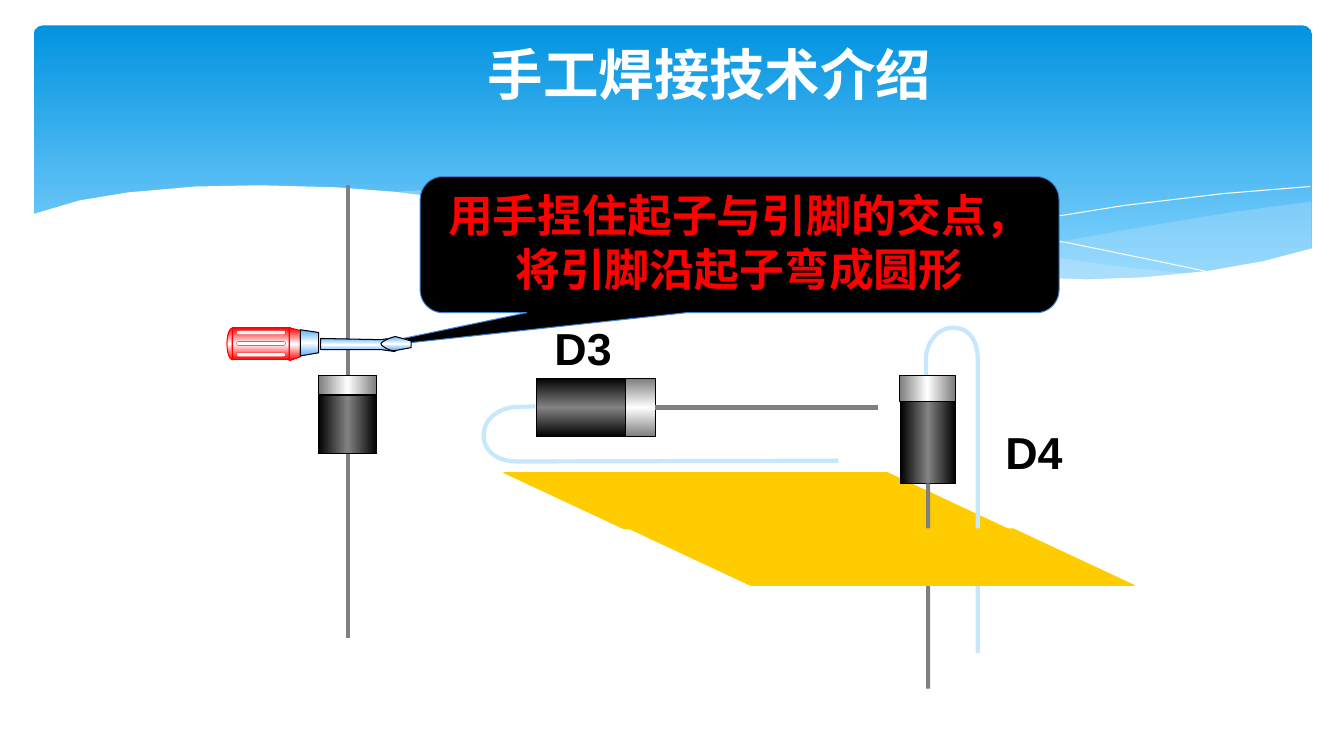
from lxml import etree
from pptx import Presentation
from pptx.dml.color import RGBColor
from pptx.enum import shapes as es, text as et
from pptx.oxml.ns import qn
from pptx.util import Cm, Pt

SHAPE = es.MSO_SHAPE
BLACK, WHITE, RED = "000000", "FFFFFF", "FF0000"
GREY, PALE, YELLOW = "808080", "C6E7FC", "FFCC00"
BODY = [(0, BLACK), (50, "838383"), (100, BLACK)]
CAP = [(0, "7C7C7C"), (50, WHITE), (100, "7C7C7C")]
PLASTIC = [(0, RED), (50, WHITE), (100, RED)]
STEEL = [(0, "5EAEFF"), (50, WHITE), (100, "5EAEFF")]
SKY = [(0, "0293E0"), (90, "83D3FE")]

BACK_WAVE = [
    (33.05, 5.08), (31.17, 5.33), (29.13, 5.66), (26.37, 6.15), (23.9, 6.53),
    (22.4, 6.73), (23.88, 6.88), (25.63, 7.01), (27.2, 7.06), (28.91, 7.01),
    (30.66, 6.83), (31.93, 6.58), (33.05, 6.27)]
MIDDLE_WAVE = [
    (30.23, 6.93), (28.35, 6.73), (26.26, 6.45), (23.9, 6.1), (21.31, 5.64),
    (19.28, 5.28), (17.42, 5.03), (15.72, 4.85), (14.22, 4.75), (12.24, 4.7),
    (9.7, 4.85), (12.27, 5.16), (15.21, 5.64), (17.93, 6.1), (20.37, 6.48),
    (23.04, 6.81), (25.35, 7.01), (27.33, 7.06), (28.73, 7.04)]
FALLING_LINE = [
    (10.46, 4.95), (12.29, 4.8), (14.66, 4.75), (17.27, 4.88), (19.69, 5.08),
    (22.5, 5.41), (24.64, 5.74), (26.92, 6.12), (29.41, 6.63), (30.73, 6.91)]
RISING_LINE = [
    (20.78, 6.53), (22.76, 6.12), (25.32, 5.66), (28.32, 5.18), (30.81, 4.88),
    (33.02, 4.7)]
FRONT_WAVE = [
    (33.1, 6.25), (31.85, 6.58), (30.43, 6.83), (28.8, 6.99), (27.38, 7.04),
    (25.2, 6.96), (22.63, 6.73), (20.42, 6.45), (17.93, 6.07), (15.14, 5.59),
    (12.34, 5.13), (9.91, 4.83), (8.46, 4.72), (6.55, 4.67), (4.93, 4.7),
    (3.23, 4.85), (2.01, 5.05), (0.79, 5.41), (0.79, 8.36), (33.1, 8.36)]
D3_WIRE = [
    (13.49, 10.24), (12.95, 10.26), (12.62, 10.29, 12.19, 10.52, 12.19, 10.97),
    (12.19, 11.4, 12.57, 11.63, 13.03, 11.63), (21.13, 11.61)]
D4_WIRE = [
    (23.34, 9.45), (23.34, 8.97), (23.37, 8.66, 23.6, 8.26, 24.03, 8.26),
    (24.43, 8.26, 24.64, 8.61, 24.64, 9.02), (24.64, 16.46)]
COLLAR = [(7.29, 8.26), (7.57, 8.33), (7.57, 8.99), (7.29, 9.09)]
FERRULE = [(7.57, 8.31), (8.03, 8.38), (8.03, 8.89), (7.57, 8.97)]
SHAFT = [
    (8.08, 8.53), (9.6, 8.56), (9.96, 8.51), (9.8, 8.53, 9.7, 8.61, 9.7, 8.66),
    (9.7, 8.74, 9.98, 8.84, 9.96, 8.86), (9.6, 8.81), (8.08, 8.81)]
TIP = [
    (10.36, 8.59), (9.96, 8.48), (9.78, 8.53, 9.63, 8.61, 9.6, 8.66),
    (9.6, 8.71, 9.8, 8.84, 9.93, 8.84), (10.36, 8.76)]


def rgb(value):
    return RGBColor.from_string(value)


def gradient(sp, stops, angle):
    sp.fill.gradient()
    sp.fill.gradient_angle = (360 - angle) % 360
    gs_list = sp._element.spPr.find(qn("a:gradFill")).find(qn("a:gsLst"))
    for old in list(gs_list):
        gs_list.remove(old)
    for pos, color in stops:
        gs = etree.SubElement(gs_list, qn("a:gs"), pos=str(pos * 1000))
        etree.SubElement(gs, qn("a:srgbClr"), val=color)


def paint(sp, fill=None, line=None, width=0.75, angle=90, alpha=None):
    sp.shadow.inherit = False
    if fill is None:
        sp.fill.background()
    elif isinstance(fill, list):
        gradient(sp, fill, angle)
    else:
        sp.fill.solid()
        sp.fill.fore_color.rgb = rgb(fill)
    if alpha is not None:
        clr = sp._element.spPr.find(qn("a:solidFill")).find(qn("a:srgbClr"))
        etree.SubElement(clr, qn("a:alpha"), val=str(alpha * 1000))
    if line is None:
        sp.line.fill.background()
    else:
        sp.line.color.rgb = rgb(line)
        sp.line.width = Pt(width)
    return sp


def preset(s, kind, box, adj=(), flip=False, **look):
    sp = s.shapes.add_shape(kind, *map(Cm, box))
    for i, value in enumerate(adj):
        sp.adjustments[i] = value
    if flip:
        sp._element.spPr.find(qn("a:xfrm")).set("flipH", "1")
    return paint(sp, **look)


def flatten(steps, pieces=16):
    points = [steps[0]]
    for step in steps[1:]:
        if len(step) == 2:
            points.append(step)
            continue
        start, c1, c2, end = points[-1], step[:2], step[2:4], step[4:]
        for i in range(1, pieces + 1):
            t = i / pieces
            n = 1 - t
            points.append(tuple(
                n**3 * a + 3 * n * n * t * b + 3 * n * t * t * c + t**3 * d
                for a, b, c, d in zip(start, c1, c2, end)))
    return points


def outline(s, steps, close=True, **look):
    points = [(Cm(x), Cm(y)) for x, y in flatten(steps)]
    builder = s.shapes.build_freeform(*points[0])
    builder.add_line_segments(points[1:], close=close)
    return paint(builder.convert_to_shape(), **look)


def lead(s, part, site, start, end):
    c = s.shapes.add_connector(es.MSO_CONNECTOR.STRAIGHT, *map(Cm, start + end))
    c.begin_connect(part, site)
    c.line.color.rgb = rgb(GREY)
    c.line.width = Pt(3)
    etree.SubElement(c._element.spPr, qn("a:effectLst"))


def write(sp, words, size, color, font="Arial", anchor=et.MSO_ANCHOR.TOP):
    tf = sp.text_frame
    tf.word_wrap = True
    tf.vertical_anchor = anchor
    p = tf.paragraphs[0]
    p.text = words
    p.alignment = et.PP_ALIGN.CENTER
    r = p.runs[0]
    r.font.name, r.font.size, r.font.bold = font, Pt(size), True
    r.font.color.rgb = rgb(color)


def label(s, box, words, size=32, color=BLACK, **style):
    write(s.shapes.add_textbox(*map(Cm, box)), words, size, color, **style)


def diode(s, body_box, cap_box, angle):
    return [preset(s, SHAPE.RECTANGLE, box, fill=fill, line=BLACK, angle=angle)
            for box, fill in ((body_box, BODY), (cap_box, CAP))]


def board(s, left, top):
    preset(s, SHAPE.PARALLELOGRAM, (left, top, 12.7, 1.42), [2.14], flip=True,
           fill=YELLOW, line=YELLOW)


def backdrop(s):
    preset(s, SHAPE.ROUNDED_RECTANGLE, (0.85, 0.64, 32.21, 6.86), [0.034], fill=SKY)
    outline(s, BACK_WAVE, fill=PALE, alpha=29)
    outline(s, MIDDLE_WAVE, fill=PALE, alpha=40)
    for steps in (FALLING_LINE, RISING_LINE):
        outline(s, steps, close=False, line=WHITE, width=0)
    outline(s, FRONT_WAVE, fill=WHITE)


def screwdriver(s):
    red = dict(fill=PLASTIC, line=RED)
    preset(s, SHAPE.RECTANGLE, (5.87, 8.26, 1.45, 0.81), **red)
    preset(s, SHAPE.MOON, (5.72, 8.26, 0.15, 0.81), [0.875], **red)
    outline(s, COLLAR, **red)
    for i in range(3):
        preset(s, SHAPE.ROUNDED_RECTANGLE, (5.96, 8.33 + 0.28 * i, 1.24, 0.1), [0.5],
               fill=WHITE, line=RED, width=0.25)
    for steps in (FERRULE, SHAFT, TIP):
        outline(s, steps, fill=STEEL, line=BLACK)


def main():
    prs = Presentation()
    prs.slide_width, prs.slide_height = Cm(33.87), Cm(19.05)
    s = prs.slides.add_slide(prs.slide_layouts[6])
    backdrop(s)

    callout = preset(s, SHAPE.ROUNDED_RECTANGULAR_CALLOUT, (10.59, 4.45, 16.1, 3.43),
                     [-0.606, 0.767, 0.167], fill=BLACK, line="4584D3")
    write(callout, "用手捏住起子与引脚的交点，将引脚沿起子弯成圆形", 32, RED)

    body, cap = diode(s, (13.51, 9.53, 2.29, 1.48), (15.77, 9.53, 0.74, 1.48), 90)
    lead(s, cap, 3, (16.51, 10.27), (22.12, 10.27))
    outline(s, D3_WIRE, close=False, line=PALE, width=3)
    label(s, (12.98, 7.95, 3.43, 1.6), "D3")

    board(s, 12.7, 11.91)
    body, cap = diode(s, (22.69, 10.1, 1.4, 2.08), (22.67, 9.46, 1.4, 0.66), 0)
    lead(s, body, 2, (23.39, 12.18), (23.39, 17.35))
    outline(s, D4_WIRE, close=False, line=PALE, width=3)
    board(s, 15.88, 13.33)
    label(s, (24.84, 10.59, 2.44, 1.63), "D4")

    body, cap = diode(s, (8.02, 9.96, 1.48, 1.48), (8.02, 9.46, 1.48, 0.48), 0)
    lead(s, body, 2, (8.76, 11.44), (8.76, 16.08))
    lead(s, cap, 0, (8.76, 9.46), (8.76, 4.65))
    screwdriver(s)

    label(s, (7.82, 1.07, 20.12, 1.57), "手工焊接技术介绍", 39.6, WHITE,
          font="Cabin", anchor=et.MSO_ANCHOR.MIDDLE)
    prs.save("out.pptx")


if __name__ == "__main__":
    main()
